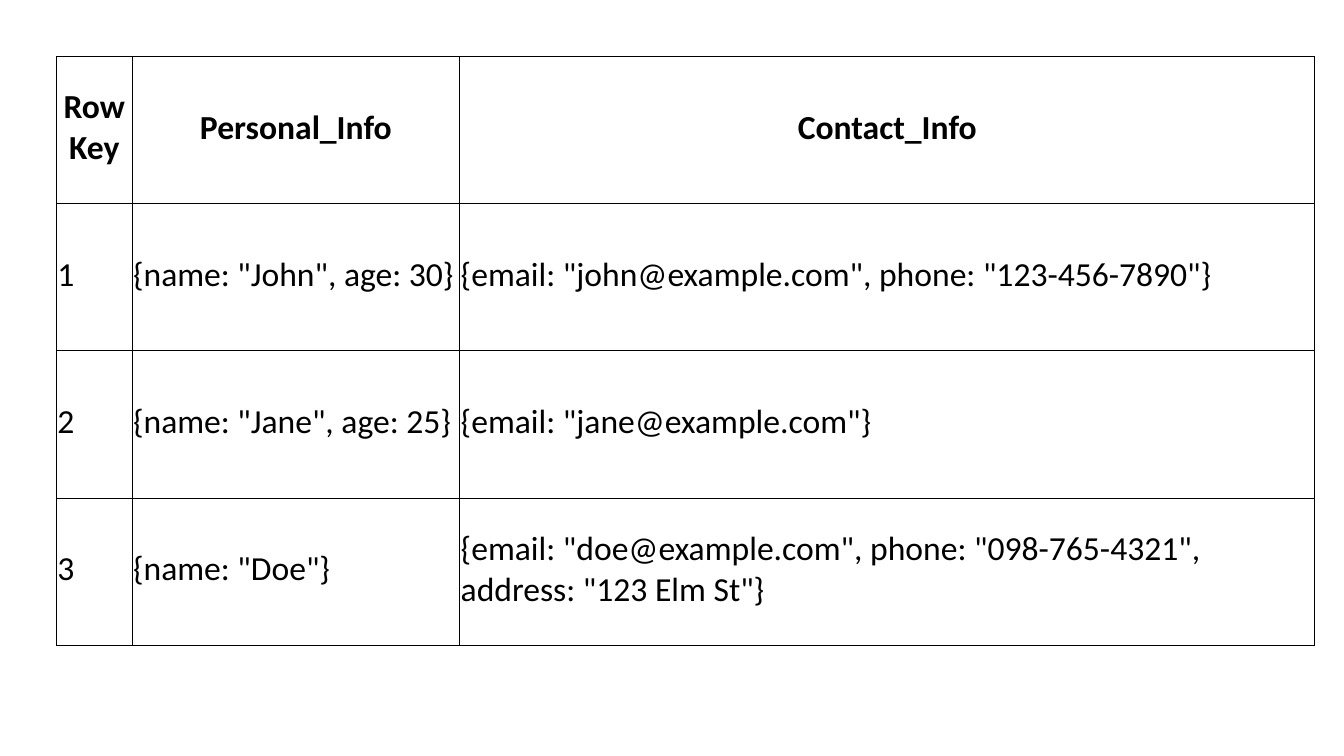
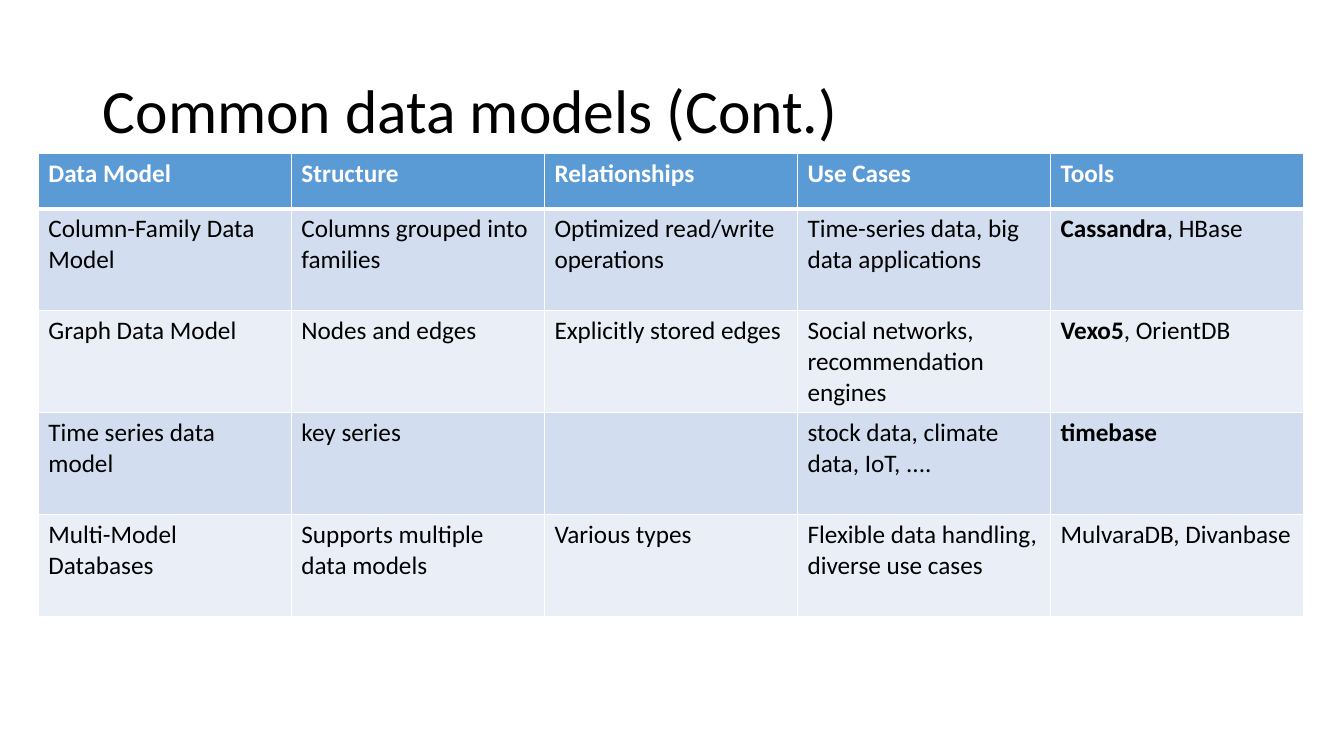
from dataclasses import dataclass
from typing import NamedTuple

from lxml.etree import SubElement as Sub
from pptx import Presentation
from pptx.dml.color import RGBColor
from pptx.enum.text import MSO_ANCHOR as Anchor, PP_ALIGN as Align
from pptx.oxml.ns import qn
from pptx.util import Inches, Pt

WIDE, HIGH = 13.33, 7.5
FONT = "Calibri"
BLACK, WHITE = "000000", "FFFFFF"
BLUE, DARK, PALE = "5B9BD5", "D2DEEF", "EAEFF7"


class Tool(NamedTuple):
    lead: str
    rest: str = ""


@dataclass
class Look:
    size: int
    head: str
    fills: tuple[str, ...]
    line: str
    width: float
    rule: float
    pads: tuple[float, float, float, float]
    anchor: Anchor
    align: Align


PLAIN = Look(24, BLACK, (), BLACK, 0.5, 0.5,
             (0.01, 0.01, 0.01, 0.05), Anchor.MIDDLE, Align.CENTER)
BAND = Look(18, WHITE, (BLUE, DARK, PALE), WHITE, 1, 3,
            (0.1, 0.05, 0.1, 0.05), Anchor.TOP, Align.LEFT)

PEOPLE = [
    ("Row Key", "Personal_Info", "Contact_Info"),
    ("1", '{name: "John", age: 30}',
     '{email: "john@example.com", phone: "123-456-7890"}'),
    ("2", '{name: "Jane", age: 25}', '{email: "jane@example.com"}'),
    ("3", '{name: "Doe"}',
     '{email: "doe@example.com", phone: "098-765-4321", address: "123 Elm St"}'),
]
MODELS = [
    ("Data Model", "Structure", "Relationships", "Use Cases", "Tools"),
    ("Column-Family Data Model", "Columns grouped into families",
     "Optimized read/write operations",
     "Time-series data, big data applications", Tool("Cassandra", ", HBase")),
    ("Graph Data Model", "Nodes and edges", "Explicitly stored edges",
     "Social networks, recommendation engines", Tool("Vexo5", ", OrientDB")),
    ("Time series data model", "key series", "",
     "stock data, climate data, IoT, ....", Tool("timebase")),
    ("Multi-Model Databases", "Supports multiple data models", "Various types",
     "Flexible data handling, diverse use cases", "MulvaraDB, Divanbase"),
]


def tint(code: str) -> RGBColor:
    return RGBColor.from_string(code)


def style(para, size: int, code: str, bold: bool = False) -> None:
    font = para.font
    font.name, font.size, font.bold = FONT, Pt(size), bold
    font.color.rgb = tint(code)


def edge(cell, side: str, code: str, width: float) -> None:
    props = cell._tc.get_or_add_tcPr()
    line = Sub(props, qn(f"a:ln{side}"), w=str(Pt(width)))
    Sub(Sub(line, qn("a:solidFill")), qn("a:srgbClr"), val=code)


def write(cell, text: str | Tool, head: bool, look: Look) -> None:
    para = cell.text_frame.paragraphs[0]
    para.alignment = look.align if head else Align.LEFT
    style(para, look.size, look.head if head else BLACK, head)
    if isinstance(text, Tool):
        para.add_run().text = text.lead
        para.runs[0].font.bold = True
        if text.rest:
            para.add_run().text = text.rest
    elif text:
        para.add_run().text = text


def dress(cell, row: int, look: Look) -> None:
    sides = {"L": look.width, "R": look.width,
             "T": look.rule if row == 1 else look.width,
             "B": look.rule if row == 0 else look.width}
    for side, width in sides.items():
        edge(cell, side, look.line, width)
    if look.fills:
        cell.fill.solid()
        shade = 0 if row == 0 else 2 - row % 2
        cell.fill.fore_color.rgb = tint(look.fills[shade])
    else:
        cell.fill.background()
    (cell.margin_left, cell.margin_top,
     cell.margin_right, cell.margin_bottom) = map(Inches, look.pads)
    cell.vertical_anchor = look.anchor


def grid(slide, left: float, top: float, cols: list[float],
         rows: list[float], data: list[tuple], look: Look) -> None:
    box = map(Inches, (left, top, sum(cols), sum(rows)))
    table = slide.shapes.add_table(len(rows), len(cols), *box).table
    table.first_row = bool(look.fills)
    table.horz_banding = False
    for col, width in zip(table.columns, cols):
        col.width = Inches(width)
    for row, height in zip(table.rows, rows):
        row.height = Inches(height)
    for y, texts in enumerate(data):
        for x, text in enumerate(texts):
            cell = table.cell(y, x)
            write(cell, text, y == 0, look)
            dress(cell, y, look)


def title(slide, text: str) -> None:
    shape = slide.shapes.title
    shape.left, shape.top, shape.width, shape.height = map(
        Inches, (0.92, 0.4, 11.5, 1.45))
    frame = shape.text_frame
    frame.text = text
    frame.vertical_anchor = Anchor.MIDDLE
    para = frame.paragraphs[0]
    para.alignment, para.line_spacing = Align.LEFT, 0.9
    style(para, 44, BLACK)


def main() -> None:
    deck = Presentation()
    deck.slide_width, deck.slide_height = Inches(WIDE), Inches(HIGH)
    first = deck.slides.add_slide(deck.slide_layouts[6])
    grid(first, 0.56, 0.56, [0.75, 3.25, 8.48], [1.46] * 4, PEOPLE, PLAIN)
    second = deck.slides.add_slide(deck.slide_layouts[5])
    title(second, "Common data models (Cont.)")
    grid(second, 0.38, 1.52, [2.51] * 5, [0.55] + [1.01] * 4, MODELS, BAND)
    deck.save("out.pptx")


if __name__ == "__main__":
    main()
